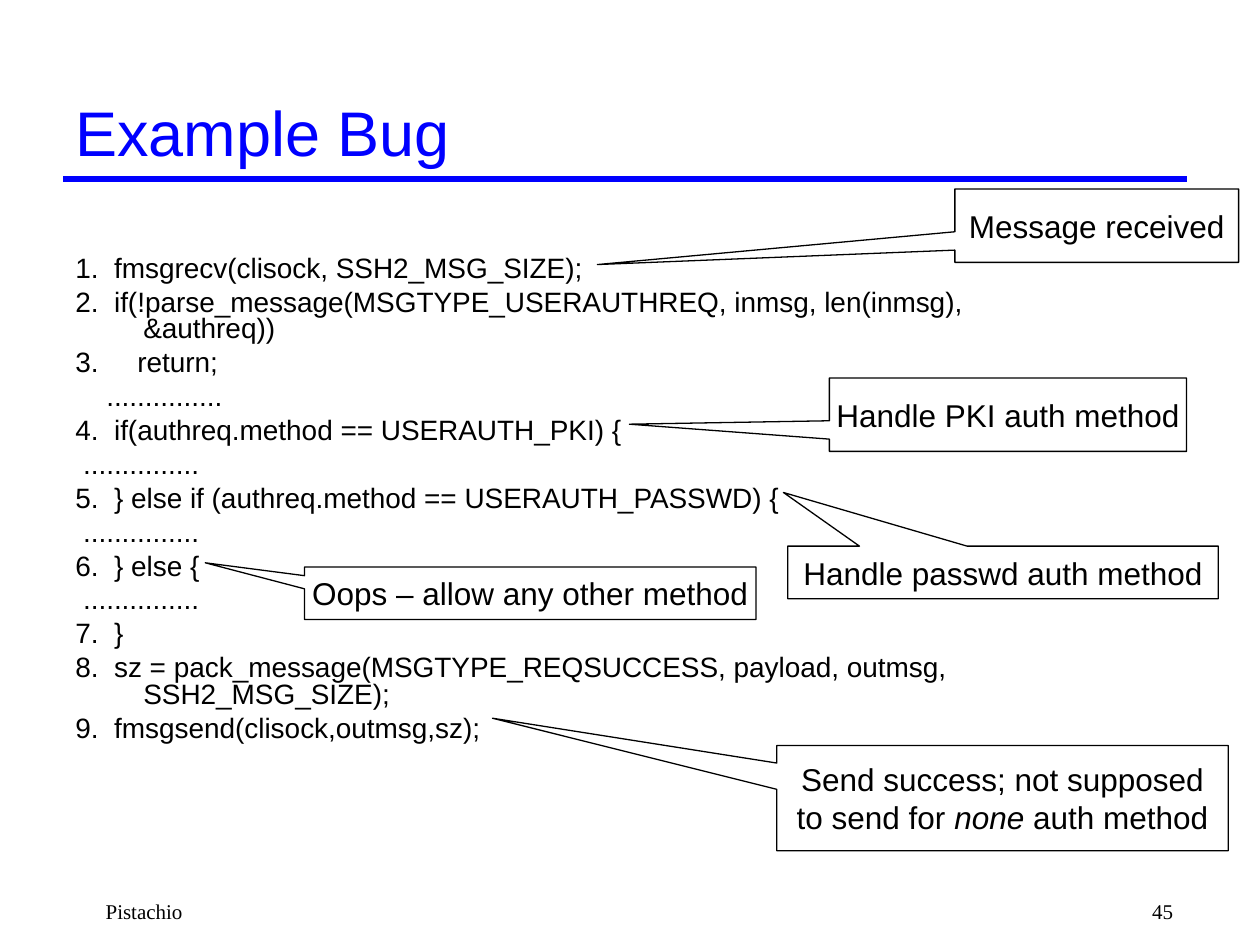
from lxml import etree
from pptx import Presentation
from pptx import util as u
from pptx.dml.color import RGBColor
from pptx.enum import shapes, text
from pptx.oxml import ns

COLORS = {"accent": "0000FF", "ink": "000000"}
TITLE = "Example Bug"
CODE = [
    "1.  fmsgrecv(clisock, SSH2_MSG_SIZE);",
    "2.  if(!parse_message(MSGTYPE_USERAUTHREQ, inmsg, len(inmsg), &authreq))",
    "3.     return;",
    "    ...............",
    "4.  if(authreq.method == USERAUTH_PKI) {",
    " ...............",
    "5.  } else if (authreq.method == USERAUTH_PASSWD) {",
    " ...............",
    "6.  } else {",
    " ...............",
    "7.  }",
    "8.  sz = pack_message(MSGTYPE_REQSUCCESS, payload, outmsg, SSH2_MSG_SIZE);",
    "9.  fmsgsend(clisock,outmsg,sz);",
]
CALLOUTS = [
    (["Message received"], (19.25, 3.81, 5.72, 1.48), (-1.76, 0.53)),
    (["Handle PKI auth method"], (16.72, 7.62, 7.2, 1.48), (-1.06, 0.13)),
    (["Handle passwd auth method"], (15.88, 11.01, 8.68, 1.06), (-0.51, -1.52)),
    (["Oops – allow any other method"], (6.14, 11.43, 9.1, 1.06), (-0.72, -0.58)),
    (["Send success; not supposed",
      [("to send for ", False), ("none", True), (" auth method", False)]],
     (15.66, 15.03, 9.1, 2.12), (-1.13, -0.76)),
]
FOOTERS = [
    ("Pistachio", (1.27, 17.98, 15.44, 0.64), text.PP_ALIGN.LEFT),
    ("45", (18.62, 17.98, 5.28, 0.64), text.PP_ALIGN.RIGHT),
]


def write(box, lines, size, font="Arial", color="ink", align=text.PP_ALIGN.LEFT,
          anchor=text.MSO_ANCHOR.TOP, wrap=True, margin=0, indent=0,
          spacing=None, before=0):
    frame = box.text_frame
    frame.word_wrap = wrap
    frame.vertical_anchor = anchor
    for number, line in enumerate(lines):
        para = frame.paragraphs[0] if number == 0 else frame.add_paragraph()
        para.alignment = align
        if spacing:
            para.line_spacing = spacing
        if number:
            para.space_before = u.Pt(before)
        layout = para._p.get_or_add_pPr()
        layout.set("marL", str(u.Cm(margin)))
        layout.set("indent", str(u.Cm(indent)))
        for words, italic in [(line, False)] if isinstance(line, str) else line:
            span = para.add_run()
            span.text = words
            span.font.name = font
            span.font.size = u.Pt(size)
            span.font.italic = italic
            span.font.color.rgb = RGBColor.from_string(COLORS[color])


def place(lengths):
    return [u.Cm(length) for length in lengths]


def main():
    deck = Presentation()
    deck.slide_width, deck.slide_height = place((25.4, 19.05))
    page = deck.slides.add_slide(deck.slide_layouts[6])

    rule = page.shapes.add_connector(
        shapes.MSO_CONNECTOR.STRAIGHT, *place((1.27, 3.61, 23.93, 3.61)))
    rule.line.color.rgb = RGBColor.from_string(COLORS["accent"])
    rule.line.width = u.Pt(3)
    etree.SubElement(rule._element.spPr, ns.qn("a:effectLst"))

    title = page.shapes.add_textbox(*place((1.27, 1.7, 22.66, 1.9)))
    write(title, [TITLE], 36, color="accent", anchor=text.MSO_ANCHOR.MIDDLE)

    listing = page.shapes.add_textbox(*place((1.27, 5.05, 19.71, 12.73)))
    write(listing, CODE, 16, margin=1.37, indent=-1.37, spacing=0.8, before=4)

    for lines, area, tip in CALLOUTS:
        callout = page.shapes.add_shape(
            shapes.MSO_SHAPE.RECTANGULAR_CALLOUT, *place(area))
        callout.adjustments[0], callout.adjustments[1] = tip
        callout.shadow.inherit = False
        callout.fill.background()
        callout.line.color.rgb = RGBColor.from_string(COLORS["ink"])
        callout.line.width = u.Pt(0.75)
        write(callout, lines, 18, align=text.PP_ALIGN.CENTER,
              anchor=text.MSO_ANCHOR.MIDDLE, wrap=False)

    for words, area, align in FOOTERS:
        footer = page.shapes.add_textbox(*place(area))
        write(footer, [words], 12, font="Times New Roman", align=align, margin=0.61)

    deck.save("out.pptx")


if __name__ == "__main__":
    main()
